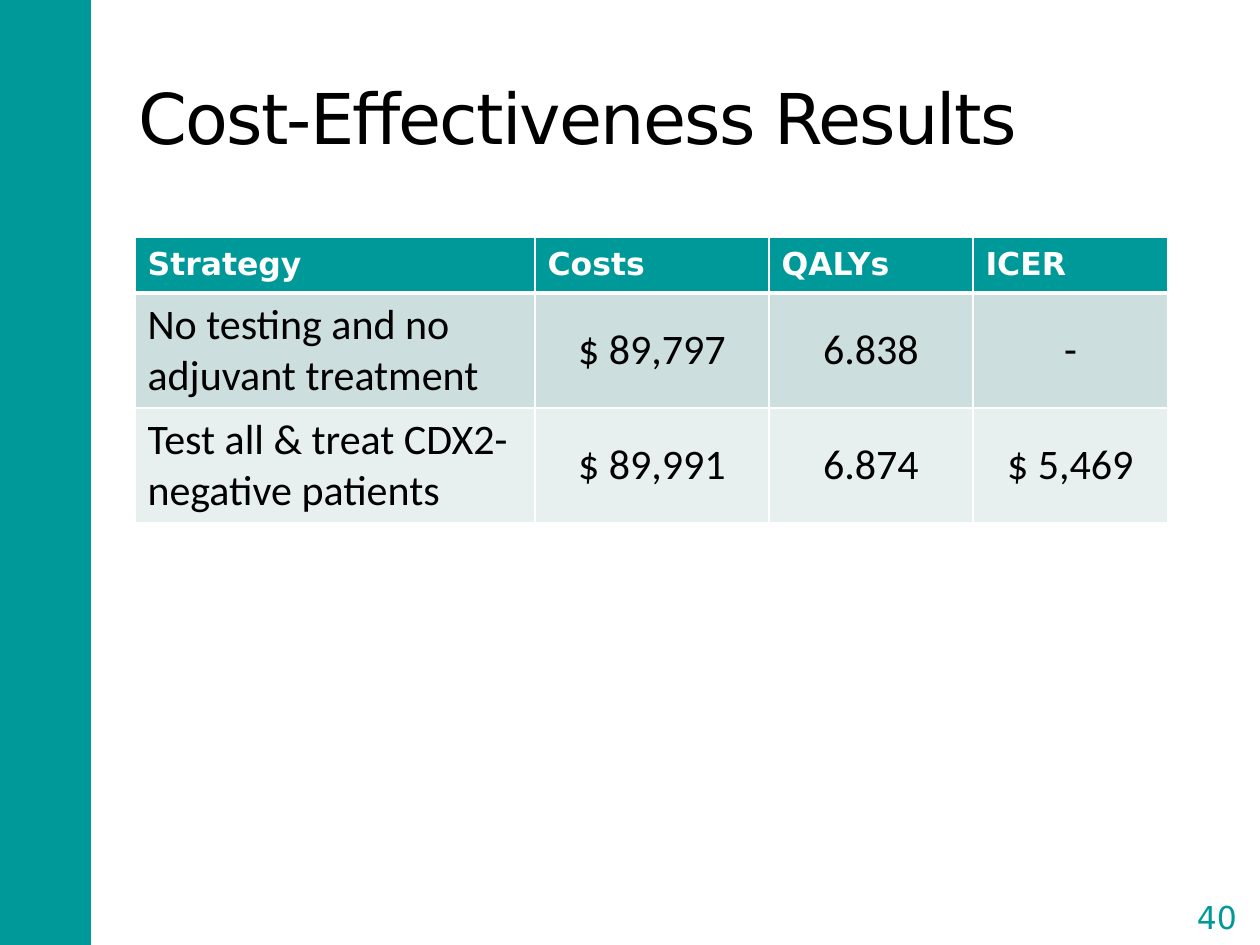
from dataclasses import dataclass

from lxml import etree
from pptx import Presentation
from pptx.dml.color import RGBColor
from pptx.enum.shapes import MSO_SHAPE
from pptx.enum.text import MSO_ANCHOR, PP_ALIGN
from pptx.oxml.ns import qn
from pptx.util import Emu, Pt

RECTANGLE, BRACKETS = MSO_SHAPE.RECTANGLE, MSO_SHAPE.DOUBLE_BRACKET
MIDDLE = MSO_ANCHOR.MIDDLE
LEFT, CENTER = PP_ALIGN.LEFT, PP_ALIGN.CENTER

# Content
TITLE = "Cost-Effectiveness Results"
PAGE_NUMBER = "40"
ROWS = [
    ("Strategy", "Costs", "QALYs", "ICER"),
    ("No testing and no adjuvant treatment", "$ 89,797", "6.838", "-"),
    ("Test all & treat CDX2-negative patients", "$ 89,991", "6.874", "$ 5,469"),
]

# Layout in px
PAGE_SIZE = (1260, 945)
SIDE_BAND = (-3, 0, 94, 945)
TITLE_BOX = (126, 38, 1050, 157)
NUMBER_BOX = (1179, 890, 76, 54)
TABLE_ORIGIN = (135, 237)
COLUMN_WIDTHS = (400, 234, 204, 195)
ROW_HEIGHTS = (56, 115, 115)


@dataclass(frozen=True)
class Theme:
    teal: str = "009999"
    white: str = "FFFFFF"
    black: str = "000000"
    bands: tuple = ("CCDEDE", "E7EFEF")
    display: str = "DejaVu Sans"
    body: str = "Calibri"
    title_size: int = 40
    small_size: int = 18
    body_size: int = 24
    rule: int = 1
    header_rule: int = 3


THEME = Theme()


def px(value):
    return Emu(round(value * 914400 / 126))


def write(frame, text, font_name, size, color, align=LEFT, bold=False):
    paragraph = frame.paragraphs[0]
    paragraph.text = text
    paragraph.alignment = align
    font = paragraph.font
    font.name, font.size, font.bold = font_name, Pt(size), bold
    font.color.rgb = RGBColor.from_string(color)
    return paragraph


def add_plain_shape(page, kind, place):
    shape = page.shapes.add_shape(kind, *map(px, place))
    shape.shadow.inherit = False
    return shape


def set_borders(cell, widths):
    properties = cell._tc.get_or_add_tcPr()
    for side, width in zip("LRTB", widths):
        line = etree.SubElement(properties, qn(f"a:ln{side}"), w=str(Pt(width)))
        fill = etree.SubElement(line, qn("a:solidFill"))
        etree.SubElement(fill, qn("a:srgbClr"), val=THEME.white)


def add_side_band(page):
    band = add_plain_shape(page, RECTANGLE, SIDE_BAND)
    band.fill.solid()
    band.fill.fore_color.rgb = RGBColor.from_string(THEME.teal)
    band.line.fill.background()


def add_title(page):
    box = page.shapes.add_textbox(*map(px, TITLE_BOX))
    frame = box.text_frame
    frame.word_wrap = True
    frame.vertical_anchor = MIDDLE
    paragraph = write(frame, TITLE, THEME.display, THEME.title_size, THEME.black)
    paragraph.runs[0].font._element.set("spc", "-100")


def add_page_number(page):
    brackets = add_plain_shape(page, BRACKETS, NUMBER_BOX)
    brackets.adjustments[0] = 0.18
    brackets.fill.background()
    brackets.line.color.rgb = RGBColor.from_string(THEME.white)
    brackets.line.width = Pt(1.5)
    frame = brackets.text_frame
    frame.margin_left = frame.margin_right = frame.margin_top = frame.margin_bottom = 0
    frame.vertical_anchor = MIDDLE
    write(frame, PAGE_NUMBER, THEME.display, THEME.small_size, THEME.teal, CENTER)


def add_results_table(page):
    place = (*TABLE_ORIGIN, sum(COLUMN_WIDTHS), sum(ROW_HEIGHTS))
    table = page.shapes.add_table(len(ROWS), len(COLUMN_WIDTHS), *map(px, place)).table
    for column, width in zip(table.columns, COLUMN_WIDTHS):
        column.width = px(width)
    for row, height in zip(table.rows, ROW_HEIGHTS):
        row.height = px(height)

    for r, values in enumerate(ROWS):
        header = r == 0
        fill = THEME.teal if header else THEME.bands[(r - 1) % 2]
        top = THEME.header_rule if r == 1 else THEME.rule
        bottom = THEME.header_rule if header else THEME.rule
        for c, text in enumerate(values):
            cell = table.cell(r, c)
            cell.vertical_anchor = MIDDLE
            set_borders(cell, (THEME.rule, THEME.rule, top, bottom))
            cell.fill.solid()
            cell.fill.fore_color.rgb = RGBColor.from_string(fill)
            if header:
                write(cell.text_frame, text, THEME.display, THEME.small_size,
                      THEME.white, bold=True)
            else:
                write(cell.text_frame, text, THEME.body, THEME.body_size,
                      THEME.black, CENTER if c else LEFT)


def main():
    deck = Presentation()
    deck.slide_width, deck.slide_height = map(px, PAGE_SIZE)
    page = deck.slides.add_slide(deck.slide_layouts[6])
    add_side_band(page)
    add_title(page)
    add_page_number(page)
    add_results_table(page)
    deck.save("out.pptx")


if __name__ == "__main__":
    main()
